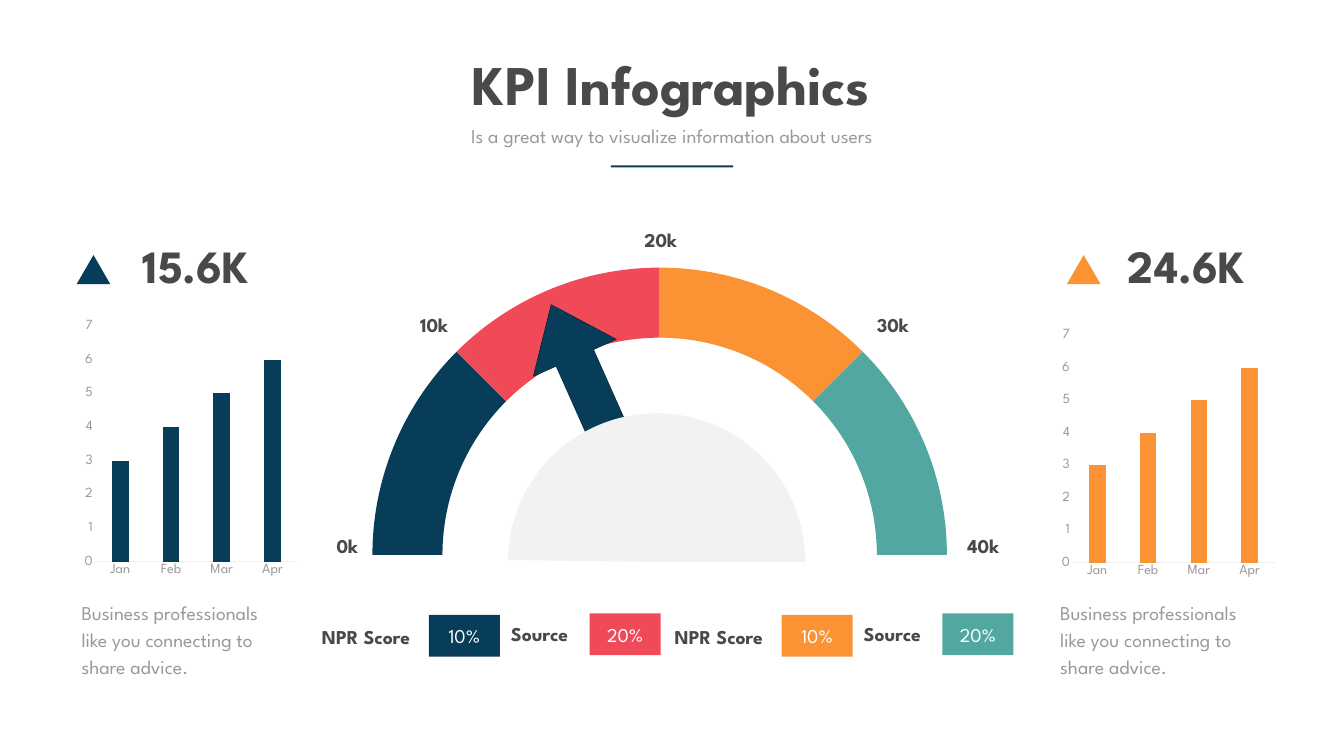
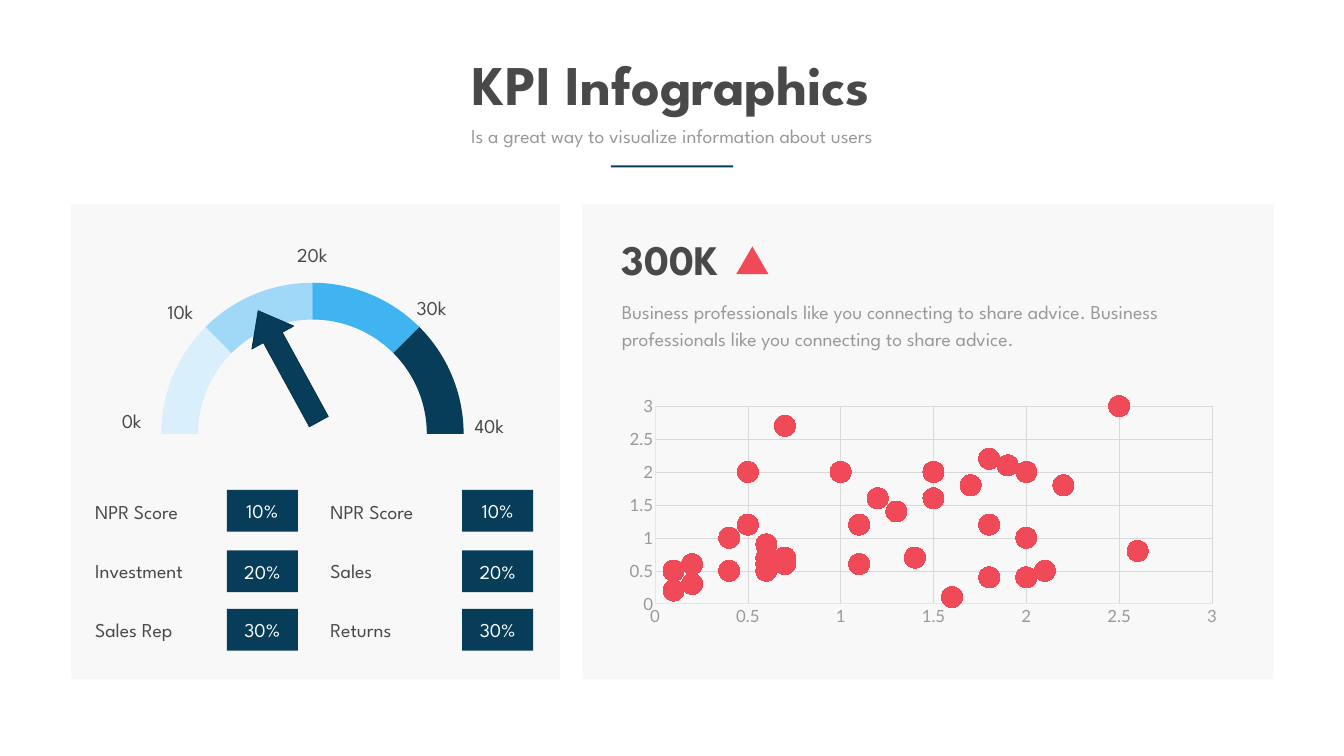
from math import cos, radians, sin, tan

from lxml.etree import SubElement
from pptx import Presentation
from pptx.chart.data import CategoryChartData, XyChartData
from pptx.dml.color import RGBColor
from pptx.enum.chart import XL_CHART_TYPE, XL_MARKER_STYLE, XL_TICK_MARK
from pptx.enum.shapes import MSO_SHAPE
from pptx.enum.text import MSO_ANCHOR, MSO_AUTO_SIZE, PP_ALIGN
from pptx.oxml import parse_xml
from pptx.oxml.ns import nsdecls, qn
from pptx.util import Inches, Pt

NAVY = RGBColor(0x07, 0x3D, 0x59)
NAVY_EDGE = RGBColor(0x05, 0x2D, 0x42)
RED = RGBColor(0xF0, 0x49, 0x58)
ORANGE = RGBColor(0xFB, 0x92, 0x34)
TEAL = RGBColor(0x52, 0xA8, 0xA0)
ICE = RGBColor(0xD9, 0xF0, 0xFC)
SKY = RGBColor(0x9F, 0xD9, 0xF7)
BLUE = RGBColor(0x3F, 0xB4, 0xF0)
DARK = RGBColor(0x49, 0x49, 0x49)
GREY = RGBColor(0x99, 0x99, 0x99)
PANEL = RGBColor(0xF2, 0xF2, 0xF2)
BASELINE = RGBColor(0xF0, 0xF0, 0xF0)
AXIS = RGBColor(0xE6, 0xE6, 0xE6)
GRID = RGBColor(0xD9, 0xD9, 0xD9)
WHITE = RGBColor(0xFF, 0xFF, 0xFF)
FONT = "League Spartan"
CHART_FONT = "Lato"

TITLE = "KPI Infographics"
SUBTITLE = "Is a great way to visualize information about users"
ADVICE = "Business professionals like you connecting to share advice."

# Slide 1: colour, figure, figure left and width, triangle left, chart frame, advice left
MONTHS = {"Jan": 3, "Feb": 4, "Mar": 5, "Apr": 6}
MONTHLY_KPIS = [
    (NAVY, "15.6K", 2.61, 2.57, 1.52, (1.52, 6.25, 4.53, 5.44), 1.52),
    (ORANGE, "24.6K", 22.25, 2.59, 21.17, (20.91, 6.44, 4.53, 5.25), 20.94),
]
LARGE_GAUGE = {
    "center": (13.09, 11.01), "outer": 5.7, "inner": 4.31,
    "colors": [NAVY, RED, ORANGE, TEAL],
    "arrow": (11.01, 5.84, 1.8, 4.78), "turn": 336,
    "labels": [("0k", 6.58, 10.55), ("10k", 8.24, 6.16), ("20k", 12.69, 4.47),
               ("30k", 17.3, 6.16), ("40k", 19.1, 10.55)],
}
HUB = (10.08, 8.2, 5.9, 5.9)
# name, name left, top and width, badge left and top, badge text
LEGEND_PAIR = [("NPR Score", 6.29, 12.35, 2.66, 8.51, 12.2, "10%"),
               ("Source", 10.04, 12.29, 3.06, 11.7, 12.17, "20%")]
LEGEND_PAIR_COLORS = [(NAVY, RED), (ORANGE, TEAL)]
LEGEND_PAIR_STEP = 7

# Slide 2
PANELS = [(1.41, 4.05, 9.7, 9.42), (11.55, 4.05, 13.73, 9.42)]
SMALL_GAUGE = {
    "center": (6.2, 8.61), "outer": 3, "inner": 2.27,
    "colors": [ICE, SKY, BLUE, NAVY],
    "arrow": (5.25, 6.01, 0.95, 2.51), "turn": 331.3,
    "labels": [("0k", 2.32, 8.06), ("10k", 3.23, 5.9), ("20k", 5.5, 4.77),
               ("30k", 8.17, 5.82), ("40k", 9.32, 8.16)],
}
SCORE_COLUMNS = [(1.79, ["NPR Score", "Investment", "Sales Rep"]),
                 (6.46, ["NPR Score", "Sales", "Returns"])]
# badge text, name top and width, badge top
SCORE_ROWS = [("10%", 9.87, 2.66, 9.72), ("20%", 11.05, 3.06, 10.92),
              ("30%", 12.22, 3.06, 12.08)]
SCORE_BADGE_OFFSET = 2.71
SCATTER_X = [
    0.7, 1.8, 2.6, 3, 5, 2, 1, 3, 2, 1, 2, 2, 0.2, 0.4, 0.6, 1.5, 2.5, 3.5,
    4, 1.2, 2.2, 3.3, 4.5, 1.1, 1.3, 1.5, 1.7, 1.9, 0.1, 0.4, 0.5, 0.6, 0.7, 4, 1.2, 2.2,
    3.3, 4.5, 1.1, 2, 0.6, 0.7, 1.4, 1.6, 1.8, 1.8, 1.6, 1.8, 2.1, 0.2, 0.6, 0.4, 0.5, 0.1,
]
SCATTER_Y = [
    2.7, 3.2, 0.8, 3.4, 1.5, 2, 2, 4, 6, 4, 1, 2, 0.3, 0.5, 0.9, 2, 3, 4,
    2, 4, 6, 4, 1, 1.2, 1.4, 1.6, 1.8, 2.1, 0.2, 1, 2, 0.6, 0.7, 1.4, 1.6, 1.8,
    2.1, 0.2, 0.6, 0.4, 0.5, 0.6, 0.7, 4, 1.2, 2.2, 0.1, 0.4, 0.5, 0.6, 0.7, 4, 1.2, 0.5,
]


def inches(frame):
    return [Inches(length) for length in frame]


def set_font(font, size, color, bold=False, name=FONT):
    font.name, font.size, font.bold = name, Pt(size), bold
    font.color.rgb = color


def paint(shape, color):
    shape.shadow.inherit = False
    shape.fill.solid()
    shape.fill.fore_color.rgb = color
    shape.line.fill.background()


def add_text(slide, frame, text, size=28, color=DARK, bold=False,
             align=PP_ALIGN.LEFT, wrap=True, spacing=None):
    text_frame = slide.shapes.add_textbox(*inches(frame)).text_frame
    text_frame.word_wrap = wrap
    text_frame.auto_size = MSO_AUTO_SIZE.SHAPE_TO_FIT_TEXT
    paragraph = text_frame.paragraphs[0]
    paragraph.text = text
    paragraph.alignment = align
    if spacing:
        paragraph.line_spacing = Pt(spacing)
    set_font(paragraph.font, size, color, bold)


def add_preset(slide, kind, frame, color):
    shape = slide.shapes.add_shape(kind, *inches(frame))
    paint(shape, color)
    return shape


def add_header(slide):
    add_text(slide, (8.87, 0.94, 8.91, 1.45), TITLE, 80, bold=True,
             align=PP_ALIGN.CENTER, wrap=False)
    add_text(slide, (8.55, 2.41, 9.56, 0.57), SUBTITLE, color=GREY, align=PP_ALIGN.CENTER)
    add_preset(slide, MSO_SHAPE.RECTANGLE, (12.12, 3.28, 2.43, 0.04), NAVY)


def add_badge(slide, left, top, text, color):
    badge = add_preset(slide, MSO_SHAPE.RECTANGLE, (left, top, 1.41, 0.83), color)
    badge.text_frame.vertical_anchor = MSO_ANCHOR.MIDDLE
    paragraph = badge.text_frame.paragraphs[0]
    paragraph.text = text
    paragraph.alignment = PP_ALIGN.CENTER
    set_font(paragraph.font, 28, WHITE)


def curve_points(center, radius, start, end):
    """Return the four Bezier points of a circular arc, angles in degrees."""
    first, last = radians(start), radians(end)
    pull = 4 / 3 * tan((last - first) / 4)
    points = [(cos(first), sin(first)),
              (cos(first) - pull * sin(first), sin(first) + pull * cos(first)),
              (cos(last) + pull * sin(last), sin(last) - pull * cos(last)),
              (cos(last), sin(last))]
    return [(Inches(center[0] + radius * x), Inches(center[1] - radius * y)) for x, y in points]


def add_ring_sector(slide, gauge, start, end, color):
    outline = (curve_points(gauge["center"], gauge["outer"], start, end)
               + curve_points(gauge["center"], gauge["inner"], end, start))
    builder = slide.shapes.build_freeform(*outline[0])
    builder.add_line_segments(outline[1:], close=True)
    sector = builder.convert_to_shape()
    lines = list(sector.element.iter(qn("a:lnTo")))
    for arc_lines in (lines[:3], lines[4:7]):
        curve = parse_xml(f'<a:cubicBezTo {nsdecls("a")}/>')
        arc_lines[0].addprevious(curve)
        for line in arc_lines:
            curve.append(line[0])
            line.getparent().remove(line)
    paint(sector, color)


def add_gauge(slide, gauge, bold):
    """Draw four ring sectors of 45 degrees from left to right, the arrow and the labels."""
    for index, color in enumerate(gauge["colors"]):
        start = 180 - 45 * index
        add_ring_sector(slide, gauge, start, start - 45, color)

    arrow = add_preset(slide, MSO_SHAPE.UP_ARROW, gauge["arrow"], NAVY)
    arrow.adjustments[0], arrow.adjustments[1] = 0.45, 0.64
    arrow.rotation = gauge["turn"]
    arrow.line.color.rgb = NAVY_EDGE
    arrow.line.width = Pt(1)

    for text, left, top in gauge["labels"]:
        centered = not bold and text == "20k"
        add_text(slide, (left, top, 1.39, 0.57), text, bold=bold,
                 align=PP_ALIGN.CENTER if centered else PP_ALIGN.LEFT)


def add_plain_chart(slide, kind, frame, data, size, font_name):
    chart = slide.shapes.add_chart(kind, *inches(frame), data).chart
    chart.has_legend = chart.has_title = False
    set_font(chart.font, size, GREY, name=font_name)
    for axis in (chart.category_axis, chart.value_axis):
        axis.major_tick_mark = axis.minor_tick_mark = XL_TICK_MARK.NONE
        axis.has_major_gridlines = False
        set_font(axis.tick_labels.font, size, GREY, name=font_name)
    return chart


def set_scale(axis, maximum, unit):
    axis.minimum_scale, axis.maximum_scale, axis.major_unit = 0, maximum, unit


def set_line(line, color):
    line.color.rgb = color
    line.width = Pt(0.75)


def set_inner_plot(chart, x, y, width, height):
    plot_area = chart.element.find(".//" + qn("c:plotArea"))
    for layout in plot_area.findall(qn("c:layout")):
        plot_area.remove(layout)
    sizes = "".join(f'<c:{tag} val="{value}"/>'
                    for tag, value in zip("xywh", (x, y, width, height)))
    plot_area.insert(0, parse_xml(
        f'<c:layout {nsdecls("c")}><c:manualLayout><c:layoutTarget val="inner"/>'
        f'<c:xMode val="edge"/><c:yMode val="edge"/>{sizes}</c:manualLayout></c:layout>'))


def add_month_chart(slide, frame, color):
    data = CategoryChartData()
    data.categories = list(MONTHS)
    data.add_series("Series 1", list(MONTHS.values()))
    chart = add_plain_chart(slide, XL_CHART_TYPE.COLUMN_STACKED, frame, data, 20, FONT)
    set_inner_plot(chart, 0.08, 0.04, 0.89, 0.86)
    set_scale(chart.value_axis, 7, 1)
    chart.value_axis.format.line.fill.background()
    set_line(chart.category_axis.format.line, BASELINE)
    plot = chart.plots[0]
    plot.vary_by_categories = False
    plot.gap_width, plot.overlap = 205, 100
    fill = plot.series[0].format.fill
    fill.solid()
    fill.fore_color.rgb = color


def add_scatter_chart(slide, frame):
    data = XyChartData()
    points = data.add_series("Series 1")
    for x, y in zip(SCATTER_X, SCATTER_Y):
        points.add_data_point(x, y)
    chart = add_plain_chart(slide, XL_CHART_TYPE.XY_SCATTER, frame, data, 24, CHART_FONT)
    for axis in (chart.category_axis, chart.value_axis):
        set_scale(axis, 3, 0.5)
        axis.has_major_gridlines = True
        set_line(axis.major_gridlines.format.line, GRID)
        set_line(axis.format.line, AXIS)
    chart.plots[0].vary_by_categories = False
    series = chart.plots[0].series[0]
    series.smooth = False
    series.format.line.fill.background()
    marker = series.marker
    marker.style, marker.size = XL_MARKER_STYLE.CIRCLE, 30
    marker.format.fill.solid()
    marker.format.fill.fore_color.rgb = RED
    marker.format.line.fill.background()


def build_monthly_slide(slide):
    add_header(slide)
    add_gauge(slide, LARGE_GAUGE, bold=True)
    hub = add_preset(slide, MSO_SHAPE.PIE, HUB, PANEL)
    hub.adjustments[0], hub.adjustments[1] = 54.44, 162
    hub.rotation = 90
    for color, figure, left, width, triangle_left, chart_frame, advice_left in MONTHLY_KPIS:
        add_month_chart(slide, chart_frame, color)
        add_text(slide, (advice_left, 11.8, 4.24, 1.69), ADVICE, color=GREY, spacing=38.6)
        add_text(slide, (left, 4.66, width, 1.21), figure, 66, bold=True,
                 align=PP_ALIGN.CENTER, wrap=False)
        add_preset(slide, MSO_SHAPE.ISOSCELES_TRIANGLE, (triangle_left, 5.06, 0.67, 0.58), color)
    for index, colors in enumerate(LEGEND_PAIR_COLORS):
        shift = index * LEGEND_PAIR_STEP
        for color, entry in zip(colors, LEGEND_PAIR):
            name, left, top, width, badge_left, badge_top, share = entry
            add_text(slide, (left + shift, top, width, 0.57), name, bold=True)
            add_badge(slide, badge_left + shift, badge_top, share, color)


def build_score_slide(slide):
    for frame in PANELS:
        panel = add_preset(slide, MSO_SHAPE.RECTANGLE, frame, PANEL)
        color = panel.element.spPr.find(qn("a:solidFill"))[0]
        SubElement(color, qn("a:alpha"), val="50000")
    add_header(slide)
    add_scatter_chart(slide, (12.25, 7.76, 12.14, 4.76))
    add_gauge(slide, SMALL_GAUGE, bold=False)
    add_text(slide, (12.24, 4.58, 3.83, 1.11), "300K", 60, bold=True)
    add_preset(slide, MSO_SHAPE.ISOSCELES_TRIANGLE, (14.61, 4.89, 0.64, 0.55), RED)
    add_text(slide, (12.24, 5.84, 11.9, 1.69), f"{ADVICE} {ADVICE}", color=GREY, spacing=38.6)
    for left, names in SCORE_COLUMNS:
        for name, (share, top, width, badge_top) in zip(names, SCORE_ROWS):
            add_text(slide, (left, top, width, 0.57), name)
            add_badge(slide, left + SCORE_BADGE_OFFSET, badge_top, share, NAVY)


def main():
    presentation = Presentation()
    presentation.slide_width, presentation.slide_height = Inches(26.67), Inches(15)
    blank = presentation.slide_layouts[6]
    for build in (build_monthly_slide, build_score_slide):
        build(presentation.slides.add_slide(blank))
    presentation.save("out.pptx")


if __name__ == "__main__":
    main()
